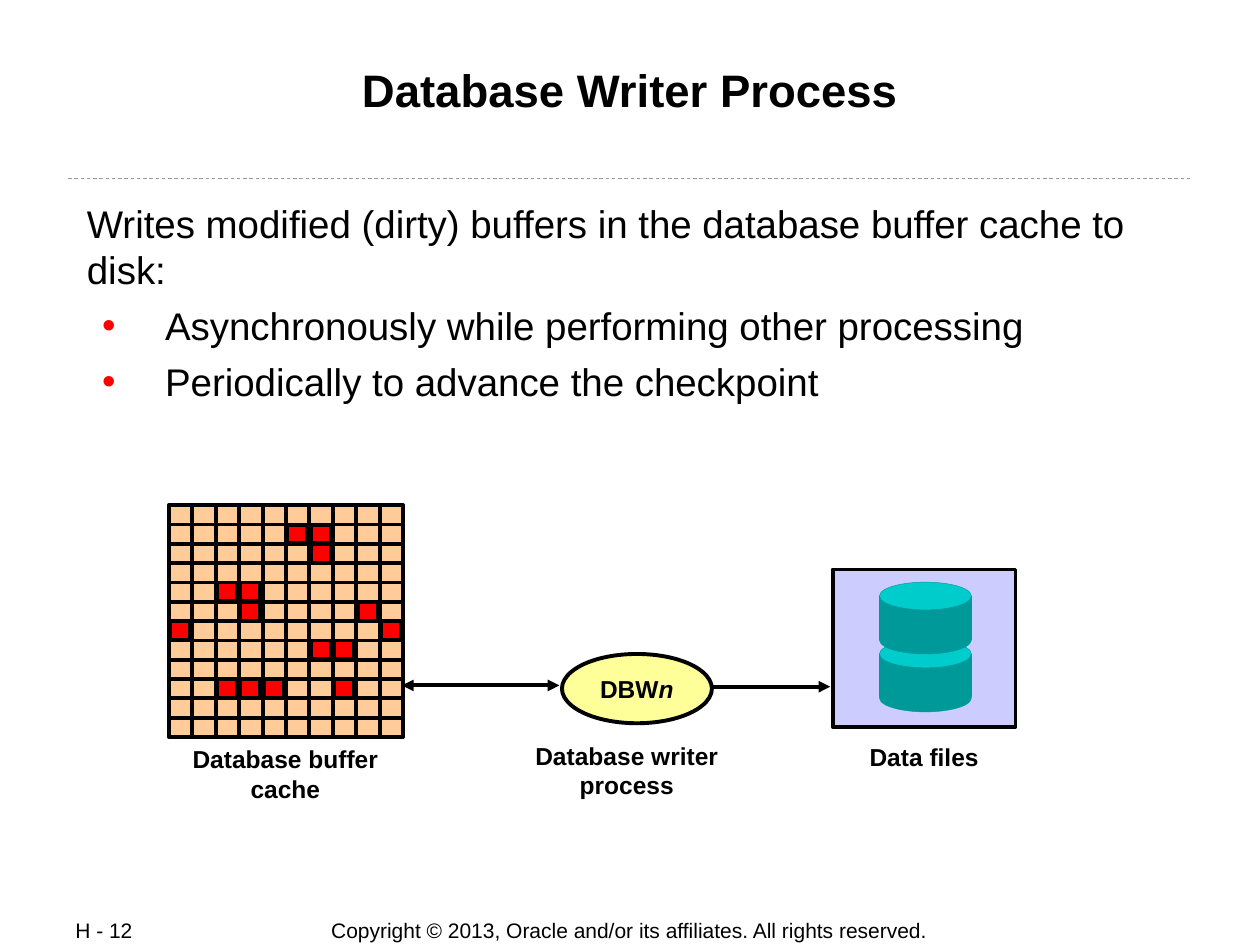
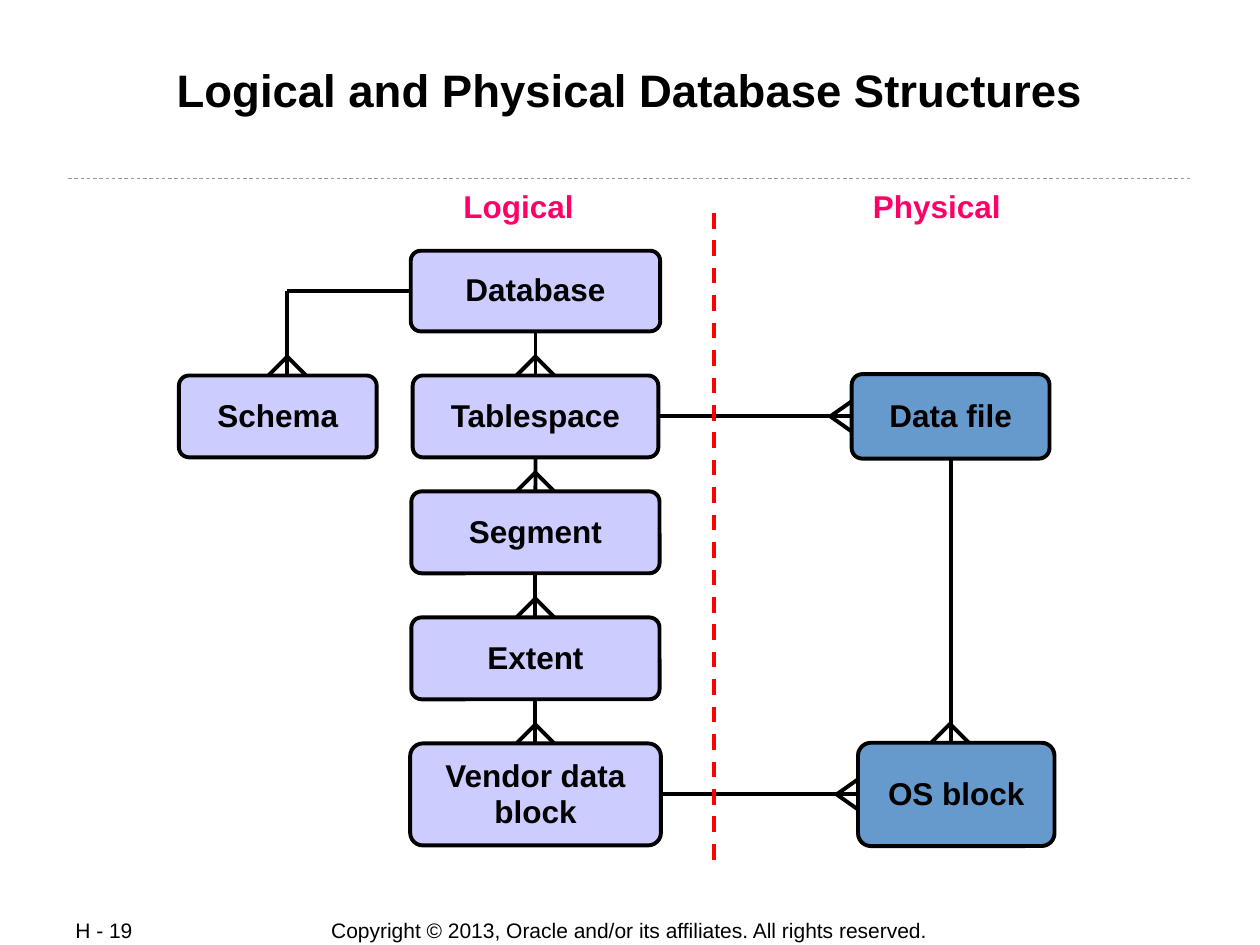
from lxml.etree import SubElement
from pptx import Presentation
from pptx.dml.color import RGBColor
from pptx.enum.dml import MSO_LINE_DASH_STYLE as Dash
from pptx.enum.shapes import MSO_CONNECTOR as Connector, MSO_SHAPE as Shape
from pptx.enum.text import MSO_ANCHOR as Anchor, MSO_AUTO_SIZE as AutoSize, PP_ALIGN as Align
from pptx.oxml.ns import qn
from pptx.util import Inches, Pt

COLORS = {
    "ink": "000000", "rule": "999999", "alert": "FF0000", "heading": "FF0066",
    "logical": "CCCCFF", "physical": "6699CC", "process": "FFFF99",
    "buffer": "FFCC99", "disk": "009999", "disk_top": "00CCCC",
}
FONT = "Arial"
COLUMNS, ROWS = 100, 75          # the slide's grid
TOP, LEFT, BOTTOM, RIGHT = range(4)  # connection sites


def rgb(name):
    return RGBColor.from_string(COLORS[name])


def unit(count):
    """Length of a number of grid columns or rows."""
    return Inches(count / 10)


def set_bullet(paragraph, char, color, indent, hanging):
    """Add a bullet, or switch it off when char is None."""
    properties = paragraph._p.get_or_add_pPr()
    properties.set("marL", str(unit(indent)))
    properties.set("indent", str(unit(hanging)))
    if char is None:
        SubElement(properties, qn("a:buNone"))
        return
    holder = SubElement(properties, qn("a:buClr"))
    SubElement(holder, qn("a:srgbClr")).set("val", COLORS[color])
    SubElement(properties, qn("a:buFont")).set("typeface", FONT)
    SubElement(properties, qn("a:buChar")).set("char", char)


def write(frame, text, size=18, bold=False, color="ink", align=Align.CENTER,
          spacing=None, before=0, italic_end="", level=0):
    """Add one paragraph; a newline in the text is a line break."""
    paragraph = frame.paragraphs[0]
    if paragraph.runs:
        paragraph = frame.add_paragraph()
    paragraph.alignment = align
    paragraph.level = level
    paragraph.space_before = Pt(before)
    if spacing:
        paragraph.line_spacing = spacing
    pieces = [(line, False) for line in text.split("\n")]
    if italic_end:
        pieces.append((italic_end, True))
    for index, (piece, italic) in enumerate(pieces):
        if index and not italic:
            paragraph.add_line_break()
        run = paragraph.add_run()
        run.text = piece
        font = run.font
        font.name, font.size, font.bold, font.italic = FONT, Pt(size), bold, italic
        font.color.rgb = rgb(color)
    return paragraph


class Deck:
    """Shared style, and drawing on the current slide."""

    def __init__(self):
        self.presentation = Presentation()
        self.presentation.slide_width = unit(COLUMNS)
        self.presentation.slide_height = unit(ROWS)
        self.slide = None

    def start_slide(self, title, page, layout):
        layouts = self.presentation.slide_layouts
        self.slide = self.slide = self.presentation.slides.add_slide(layouts.get_by_name(layout))
        frame = self.placeholder(self.slide.shapes.title, 6.7, 4.8, 86.6, 9.6)
        write(frame, title, size=26, bold=True)
        self.line((5.4, 14.2), (94.6, 14.2), "rule", 0.5, Dash.DASH)
        self.label("Copyright © 2013, Oracle and/or its affiliates. All rights reserved.",
                   27.5, 72.8, 44.9, 2.1, wrap=False, anchor=Anchor.MIDDLE, size=12)
        self.label(f"H - {page}", 5, 72.8, 10.6, 2, wrap=False, anchor=Anchor.MIDDLE,
                   size=12, align=Align.LEFT)

    def frame(self, shape, across=1, down=0.5, wrap=True, anchor=Anchor.TOP):
        frame = shape.text_frame
        frame.auto_size = AutoSize.NONE
        frame.word_wrap = wrap
        frame.vertical_anchor = anchor
        frame.margin_left = frame.margin_right = unit(across)
        frame.margin_top = frame.margin_bottom = unit(down)
        return frame

    def placeholder(self, shape, left, top, width, height):
        shape.left, shape.top = unit(left), unit(top)
        shape.width, shape.height = unit(width), unit(height)
        return self.frame(shape, 0.1, 0.1)

    def body(self, lead, items):
        frame = self.placeholder(self.slide.placeholders[1], 6.7, 15.8, 86.6, 16.5)
        paragraph = write(frame, lead, size=22, align=Align.LEFT)
        set_bullet(paragraph, None, None, 0.1, 0)
        for item in items:
            paragraph = write(frame, item, size=22, align=Align.LEFT, before=5.5, level=1)
            set_bullet(paragraph, "•", "alert", 6.3, -5)

    def label(self, text, left, top, width, height, wrap=True, anchor=Anchor.TOP, **style):
        shape = self.slide.shapes.add_textbox(unit(left), unit(top), unit(width), unit(height))
        write(self.frame(shape, wrap=wrap, anchor=anchor), text, **style)

    def shape(self, kind, left, top, width, height, fill, line="ink", weight=2.25):
        shape = self.slide.shapes.add_shape(kind, unit(left), unit(top), unit(width), unit(height))
        shape.shadow.inherit = False
        shape.fill.solid()
        shape.fill.fore_color.rgb = rgb(fill)
        shape.line.color.rgb = rgb(line)
        shape.line.width = Pt(weight)
        return shape

    def line(self, start, end, color="ink", weight=2.25, dash=None, heads=(),
             begin_at=None, end_at=None):
        """Straight line; begin_at and end_at are (shape, site) joins."""
        connector = self.slide.shapes.add_connector(
            Connector.STRAIGHT, *(unit(value) for value in (*start, *end)))
        connector.line.color.rgb = rgb(color)
        connector.line.width = Pt(weight)
        if dash:
            connector.line.dash_style = dash
        for head in heads:
            SubElement(connector.line._get_or_add_ln(), qn(f"a:{head}")).set("type", "triangle")
        SubElement(connector._element.spPr, qn("a:effectLst"))
        if begin_at:
            connector.begin_connect(*begin_at)
        if end_at:
            connector.end_connect(*end_at)

    def join(self, first, first_site, second, second_site):
        self.line((0, 0), (1, 1), begin_at=(first, first_site), end_at=(second, second_site))

    def crow_foot(self, points):
        start, *others = [(unit(x), unit(y)) for x, y in points]
        builder = self.slide.shapes.build_freeform(*start)
        builder.add_line_segments(others, close=False)
        shape = builder.convert_to_shape()
        shape.shadow.inherit = False
        shape.fill.background()
        shape.line.color.rgb = rgb("ink")
        shape.line.width = Pt(2.25)

    def entity(self, text, center, middle, width, height, fill="logical",
               foot_top=None, foot_left=False):
        """Rounded box; its crow's feet go behind it."""
        left, top = center - width / 2, middle - height / 2
        if foot_top:
            self.crow_foot([(foot_top - 2.5, top + 1), (foot_top, top - 1.5),
                            (foot_top + 2.5, top + 1)])
        if foot_left:
            self.crow_foot([(left, middle - 1.2), (left - 1.7, middle), (left, middle + 1.2)])
        shape = self.shape(Shape.ROUNDED_RECTANGLE, left, top, width, height, fill)
        shape.adjustments[0] = 0.125
        frame = self.frame(shape, 0.5, 0.5, wrap=False, anchor=Anchor.MIDDLE)
        write(frame, text, bold=True, spacing=0.95)
        return shape

    def buffer_grid(self, left, top, width, height, columns, rows, dirty):
        self.shape(Shape.RECTANGLE, left, top, width, height, "buffer")
        step_x, step_y = width / columns, height / rows
        for column in range(columns + 1):
            x = left + column * step_x
            self.line((x, top), (x, top + height))
        for row in range(rows + 1):
            y = top + row * step_y
            self.line((left, y), (left + width, y))
        for row, filled in dirty.items():
            for column in filled:
                self.shape(Shape.RECTANGLE, left + column * step_x + 0.1,
                           top + row * step_y, 1.6, 1.5, "alert")

    def cylinder(self, left, top):
        for kind, offset, height, fill in ((Shape.RECTANGLE, 1.1, 3.4, "disk"),
                                           (Shape.OVAL, 0, 2.2, "disk_top"),
                                           (Shape.OVAL, 3.5, 2.2, "disk")):
            self.shape(kind, left, top + offset, 7.3, height, fill, "disk", 0.25)


def writer_slide(deck):
    deck.start_slide("Database Writer Process", 12, "Title and Content")
    deck.body("Writes modified (dirty) buffers in the database buffer cache to disk:",
              ["Asynchronously while performing other processing",
               "Periodically to advance the checkpoint"])

    # Data files
    deck.shape(Shape.RECTANGLE, 66.1, 45.2, 14.5, 12.5, "logical")
    for top in (50.8, 46.2):
        deck.cylinder(69.8, top)

    # Buffer cache: dirty columns by row
    deck.buffer_grid(13.4, 40.1, 18.6, 18.4, 10, 12,
                     {1: (5, 6), 2: (6,), 4: (2, 3), 5: (3, 8), 6: (0, 9),
                      7: (6, 7), 9: (2, 3, 4, 7)})

    # Writer process and its arrows
    deck.line((31.9, 54.4), (44.4, 54.4), heads=("headEnd", "tailEnd"))
    deck.line((56.2, 54.5), (65.9, 54.5), heads=("tailEnd",))
    process = deck.shape(Shape.OVAL, 44.6, 51.9, 11.9, 5.5, "process")
    write(deck.frame(process, wrap=False, anchor=Anchor.MIDDLE), "DBW",
          size=14, bold=True, italic_end="n")

    # Captions
    for text, left, top, height in (("Database buffer cache", 13.5, 58.6, 5.7),
                                    ("Database writer process", 40.6, 58.3, 5.7),
                                    ("Data files", 64.2, 58.4, 3.4)):
        deck.label(text, left, top, 18.3, height, size=14, bold=True)


def structures_slide(deck):
    deck.start_slide("Logical and Physical Database Structures", 19, "Title Only")

    # Logical side
    axis = 42.5
    database = deck.entity("Database", axis, 23.1, 19.8, 6.4)
    chain = [database]
    for text, middle, width, height in (("Tablespace", 33.05, 19.5, 6.5),
                                        ("Segment", 42.25, 19.7, 6.5),
                                        ("Extent", 52.25, 19.7, 6.5),
                                        ("Vendor data\nblock", 63.05, 19.9, 8.1)):
        chain.append(deck.entity(text, axis, middle, width, height, foot_top=axis))
    for parent, child in zip(chain, chain[1:]):
        deck.join(parent, BOTTOM, child, TOP)

    # Schema branch
    branch = 22.8
    deck.entity("Schema", 22.05, 33.05, 15.7, 6.5, foot_top=branch)
    deck.line((32.6, 23.1), (branch, 23.1), begin_at=(database, LEFT))
    deck.line((branch, 23.1), (branch, 29.8))

    # Physical side
    data_file = deck.entity("Data file", 75.45, 33.05, 15.7, 6.7, "physical", foot_left=True)
    system_block = deck.entity("OS block", 75.9, 63.05, 15.6, 8.2, "physical",
                               foot_top=75.4, foot_left=True)
    deck.join(chain[1], RIGHT, data_file, LEFT)
    deck.join(chain[-1], RIGHT, system_block, LEFT)
    deck.line((75.45, 36.4), (75.45, 58.95), begin_at=(data_file, BOTTOM))

    # Divider and headings
    deck.line((56.7, 16.9), (56.7, 68.6), "alert", dash=Dash.DASH)
    for text, left, width in (("Logical", 35.8, 10.8), ("Physical", 68.3, 12.2)):
        deck.label(text, left, 14.8, width, 3.6, wrap=False, bold=True, color="heading",
                   align=Align.LEFT, spacing=0.85)


def main():
    deck = Deck()
    writer_slide(deck)
    structures_slide(deck)
    deck.presentation.save("out.pptx")


if __name__ == "__main__":
    main()
